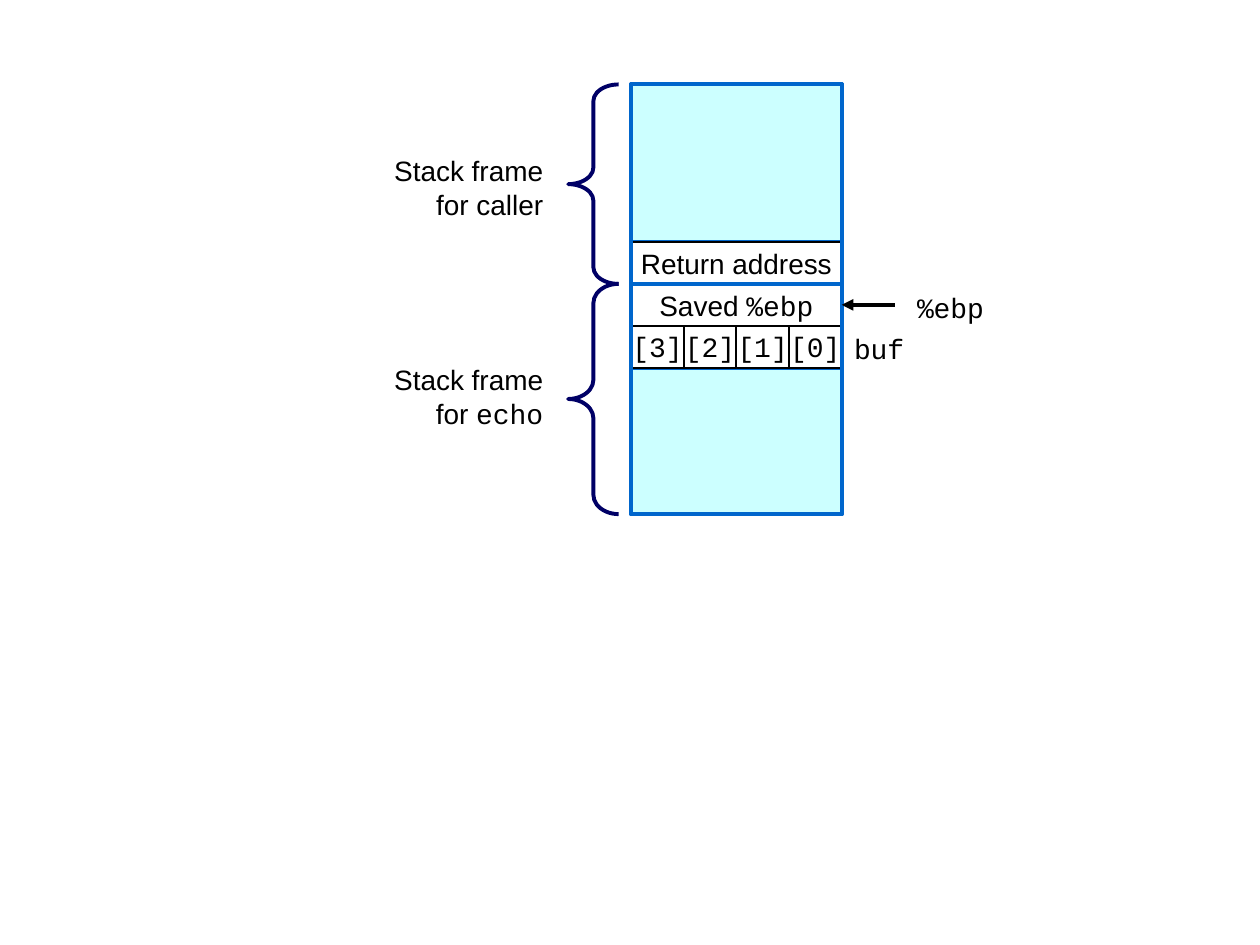
from dataclasses import dataclass

from lxml.etree import SubElement
from pptx import Presentation
from pptx.dml.color import RGBColor
from pptx.enum.shapes import MSO_CONNECTOR, MSO_SHAPE
from pptx.enum.text import MSO_ANCHOR, PP_ALIGN
from pptx.oxml.ns import qn
from pptx.util import Inches, Pt


@dataclass(frozen=True)
class Theme:
    unused: RGBColor = RGBColor.from_string("CCFFFF")
    cell: RGBColor = RGBColor.from_string("FFFFFF")
    ink: RGBColor = RGBColor.from_string("000000")
    frame: RGBColor = RGBColor.from_string("0066CC")
    brace: RGBColor = RGBColor.from_string("000066")
    text_size: Pt = Pt(16)
    thin: Pt = Pt(1)
    thick: Pt = Pt(2.25)
    sans: str = "Arial"
    mono: str = "Courier New"


THEME = Theme()

# Each text is a list of paragraphs, each paragraph a list of (words, font).
RETURN_ADDRESS = [[("Return address", THEME.sans)]]
SAVED_POINTER = [[("Saved ", THEME.sans), ("%ebp", THEME.mono)]]
BUFFER_CELLS = ["[3]", "[2]", "[1]", "[0]"]
BUFFER_NAME = [[("buf", THEME.mono)]]
POINTER_NAME = [[("%ebp", THEME.mono)]]
CALLER_LABEL = [[("Stack frame", THEME.sans)], [("for caller", THEME.sans)]]
ECHO_LABEL = [[("Stack frame", THEME.sans)],
              [("for ", THEME.sans), ("echo", THEME.mono)]]

STACK_LEFT, STACK_WIDTH = 5.01, 1.67
STACK_RIGHT = STACK_LEFT + STACK_WIDTH
ROW = 0.333
CALLER_TOP, RETURN_TOP = 0.67, 1.92
SAVED_TOP = RETURN_TOP + ROW
BUFFER_TOP = SAVED_TOP + ROW
REST_TOP = BUFFER_TOP + ROW
STACK_BOTTOM = 4.08
BRACE_LEFT, BRACE_WIDTH = 4.51, 0.4
ARROW_LENGTH = 0.42


def write(shape, paragraphs, alignment, wrap=False):
    frame = shape.text_frame
    frame.word_wrap = wrap
    for index, parts in enumerate(paragraphs):
        paragraph = frame.add_paragraph() if index else frame.paragraphs[0]
        paragraph.alignment = alignment
        for words, font_name in parts:
            run = paragraph.add_run()
            run.text = words
            run.font.name = font_name
            run.font.size = THEME.text_size
            run.font.color.rgb = THEME.ink


def add_outline(slide, kind, left, top, width, height, fill, color, weight):
    shape = slide.shapes.add_shape(
        kind, Inches(left), Inches(top), Inches(width), Inches(height))
    shape.shadow.inherit = False
    if fill is None:
        shape.fill.background()
    else:
        shape.fill.solid()
        shape.fill.fore_color.rgb = fill
    shape.line.color.rgb = color
    shape.line.width = weight
    return shape


def add_block(slide, top, bottom, fill):
    add_outline(slide, MSO_SHAPE.RECTANGLE, STACK_LEFT, top, STACK_WIDTH,
                bottom - top, fill, THEME.frame, THEME.thick)


def add_cell(slide, left, top, width, paragraphs):
    cell = add_outline(slide, MSO_SHAPE.RECTANGLE, left, top, width, ROW,
                       THEME.cell, THEME.ink, THEME.thin)
    cell.text_frame.vertical_anchor = MSO_ANCHOR.MIDDLE
    write(cell, paragraphs, PP_ALIGN.CENTER)
    return cell


def add_label(slide, left, top, width, height, paragraphs,
              alignment=PP_ALIGN.LEFT, wrap=False):
    box = slide.shapes.add_textbox(
        Inches(left), Inches(top), Inches(width), Inches(height))
    write(box, paragraphs, alignment, wrap)


def add_brace(slide, top, bottom):
    height = bottom - top
    brace = add_outline(slide, MSO_SHAPE.LEFT_BRACE, BRACE_LEFT, top,
                        BRACE_WIDTH, height, None, THEME.brace, THEME.thick)
    brace.adjustments[0] = height / 12 / BRACE_WIDTH


def add_pointer(slide, target):
    """Draw an arrow ending at the right side of the target."""
    middle = target.top + target.height // 2
    right = target.left + target.width
    arrow = slide.shapes.add_connector(
        MSO_CONNECTOR.STRAIGHT, right + Inches(ARROW_LENGTH), middle,
        right, middle)
    arrow.end_connect(target, 3)
    arrow.line.color.rgb = THEME.ink
    arrow.line.width = THEME.thick
    SubElement(arrow.line._get_or_add_ln(), qn("a:tailEnd"), type="triangle")
    SubElement(arrow._element.spPr, qn("a:effectLst"))


def main():
    presentation = Presentation()
    presentation.slide_width = Inches(10)
    presentation.slide_height = Inches(7.5)
    slide = presentation.slides.add_slide(presentation.slide_layouts[6])

    add_block(slide, CALLER_TOP, RETURN_TOP, THEME.unused)
    add_block(slide, REST_TOP, STACK_BOTTOM, THEME.unused)
    add_cell(slide, STACK_LEFT, RETURN_TOP, STACK_WIDTH, RETURN_ADDRESS)
    saved = add_cell(slide, STACK_LEFT, SAVED_TOP, STACK_WIDTH, SAVED_POINTER)
    cell_width = STACK_WIDTH / len(BUFFER_CELLS)
    for index, name in enumerate(BUFFER_CELLS):
        add_cell(slide, STACK_LEFT + index * cell_width, BUFFER_TOP,
                 cell_width, [[(name, THEME.mono)]])

    frames = [(SAVED_TOP, STACK_BOTTOM, ECHO_LABEL, 2.83),
              (CALLER_TOP, SAVED_TOP, CALLER_LABEL, 1.17)]
    for top, bottom, label, label_top in frames:
        add_block(slide, top, bottom, None)
        add_brace(slide, top, bottom)
        add_label(slide, 2.58, label_top, 1.83, 0.64, label,
                  PP_ALIGN.RIGHT, wrap=True)

    add_pointer(slide, saved)
    add_label(slide, 7.18, SAVED_TOP, 0.73, 0.37, POINTER_NAME)
    add_label(slide, STACK_RIGHT, BUFFER_TOP, 0.6, 0.37, BUFFER_NAME)
    presentation.save("out.pptx")


if __name__ == "__main__":
    main()
